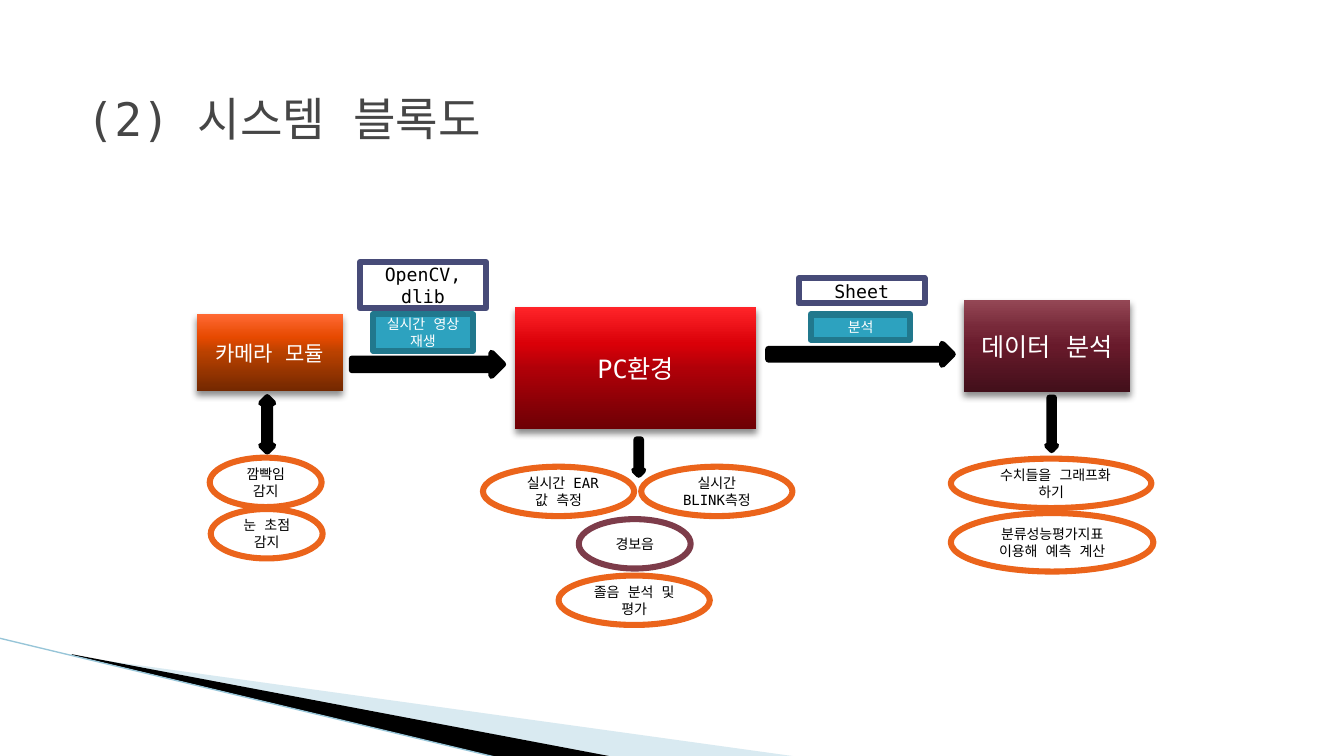
from lxml import etree
from pptx import Presentation
from pptx.dml.color import RGBColor
from pptx.enum.shapes import MSO_CONNECTOR, MSO_SHAPE as Shape
from pptx.enum.text import MSO_ANCHOR, PP_ALIGN
from pptx.oxml.ns import qn
from pptx.util import Inches, Pt

FONT = "DejaVu Sans Mono"
BLACK = RGBColor(0x00, 0x00, 0x00)
WHITE = RGBColor(0xFF, 0xFF, 0xFF)
TITLE_GREY = RGBColor(0x46, 0x46, 0x46)
PALE_BLUE = RGBColor(0xA0, 0xCB, 0xDC)
EDGE_BLUE = RGBColor(0x97, 0xC5, 0xD8)
INDIGO = RGBColor(0x47, 0x4B, 0x78)
TEAL = RGBColor(0x2D, 0xA2, 0xBF)
DARK_TEAL = RGBColor(0x21, 0x78, 0x8D)
ORANGE = RGBColor(0xEB, 0x64, 0x1B)
PLUM = RGBColor(0x7D, 0x3C, 0x4A)
OUTLINE = 4.33

TITLE = "(2) 시스템 블록도"

# text, box (left, top, width, height), text size, gradient from bottom to top
STAGES = [
    ("PC환경", (5.11, 3.05, 2.39, 1.21), 18, ("6D0005", "B00008", "DA0008", "FF2429")),
    ("카메라 모듈", (1.95, 3.12, 1.45, 0.76), 15, ("732800", "B94100", "E64900", "FF6933")),
    ("데이터 분석", (9.56, 2.98, 1.65, 0.91), 18, ("420F1A", "681A2B", "772939", "944755")),
]
GRADIENT_POSITIONS = (0, 50, 70, 100)

TOOLS = [
    ("OpenCV, dlib", (3.57, 2.6, 1.25, 0.46)),
    ("Sheet", (7.92, 2.76, 1.25, 0.25)),
]
ACTIONS = [
    ("실시간 영상 재생", (3.7, 3.12, 0.99, 0.36)),
    ("분석", (8.04, 3.12, 0.99, 0.25)),
]
FUNCTIONS = [
    ("깜빡임 감지", (2.08, 4.54, 1.11, 0.49), ORANGE),
    ("눈 초점 감지", (2.09, 5.05, 1.11, 0.49), ORANGE),
    ("경보음", (5.74, 5.15, 1.11, 0.49), PLUM),
    (" 실시간 EAR값 측정", (4.79, 4.63, 1.5, 0.49), ORANGE),
    ("실시간 BLINK측정", (6.36, 4.63, 1.5, 0.49), ORANGE),
    ("졸음 분석 및 평가", (5.54, 5.71, 1.5, 0.49), ORANGE),
    ("분류성능평가지표 이용해 예측 계산", (9.43, 5.09, 2.01, 0.58), ORANGE),
    (" 수치들을 그래프화 하기", (9.43, 4.55, 1.99, 0.49), ORANGE),
]
# preset, box before rotation, rotation
ARROWS = [
    (Shape.RIGHT_ARROW, (3.49, 3.5, 1.5, 0.23), 0),
    (Shape.RIGHT_ARROW, (7.62, 3.41, 1.83, 0.21), 0),
    (Shape.RIGHT_ARROW, (10.17, 4.16, 0.52, 0.09), 90),
    (Shape.RIGHT_ARROW, (6.16, 4.49, 0.35, 0.09), 90),
    (Shape.UP_DOWN_ARROW, (2.59, 3.94, 0.12, 0.54), 0),
]
# corners, colour, opacity in percent
WEDGES = [
    ([(0.73, 6.51), (7.93, 7.51), (6.08, 7.51), (0.73, 6.5)], PALE_BLUE, 40),
    ([(0.71, 6.49), (6.09, 7.51), (4.96, 7.52), (0.72, 6.5)], BLACK, 100),
]
WEDGE_EDGE = (-0.01, 6.33, 4.95, 7.52)


def add_node(parent, tag, **attributes):
    return etree.SubElement(parent, qn(tag), {k: str(v) for k, v in attributes.items()})


def write(shape, text, size, color, align=PP_ALIGN.CENTER):
    frame = shape.text_frame
    frame.word_wrap = True
    frame.vertical_anchor = MSO_ANCHOR.MIDDLE
    frame.text = text
    paragraph = frame.paragraphs[0]
    paragraph.alignment = align
    font = paragraph.runs[0].font
    font.size, font.name = Pt(size), FONT
    font.color.rgb = color
    for tag in ("a:ea", "a:cs"):
        add_node(paragraph.runs[0].font._element, tag, typeface=FONT)


def add_block(preset, box, fill=None, line=None):
    block = slide.shapes.add_shape(preset, *map(Inches, box))
    block.shadow.inherit = False
    if fill is not None:
        block.fill.solid()
        block.fill.fore_color.rgb = fill
    if line is None:
        block.line.fill.background()
    else:
        block.line.color.rgb = line
        block.line.width = Pt(OUTLINE)
    return block


def shade(block, colors):
    """Give the block its vertical gradient and soft drop shadow."""
    block.fill.gradient()
    block.fill.gradient_angle = 90
    properties = block._element.spPr
    stops = properties.find(qn("a:gradFill")).find(qn("a:gsLst"))
    for stop in list(stops):
        stops.remove(stop)
    for position, color in zip(GRADIENT_POSITIONS, colors):
        stop = add_node(stops, "a:gs", pos=position * 1000)
        add_node(stop, "a:srgbClr", val=color)
    shadow = add_node(properties.find(qn("a:effectLst")), "a:outerShdw",
                      blurRad=Pt(5), dist=Pt(3), dir=90 * 60000, rotWithShape=0)
    add_node(add_node(shadow, "a:srgbClr", val="000000"), "a:alpha", val=45000)


def add_wedge(corners, color, opacity):
    points = [(Inches(x), Inches(y)) for x, y in corners]
    builder = slide.shapes.build_freeform(*points[0])
    builder.add_line_segments(points[1:], close=True)
    wedge = builder.convert_to_shape()
    wedge.shadow.inherit = False
    wedge.line.fill.background()
    wedge.fill.solid()
    wedge.fill.fore_color.rgb = color
    if opacity < 100:
        solid = wedge._element.spPr.find(qn("a:solidFill"))
        add_node(solid[0], "a:alpha", val=opacity * 1000)


prs = Presentation()
prs.slide_width, prs.slide_height = Inches(13.33), Inches(7.5)
slide = prs.slides.add_slide(prs.slide_layouts[6])

for wedge_parts in WEDGES:
    add_wedge(*wedge_parts)
edge = slide.shapes.add_connector(MSO_CONNECTOR.STRAIGHT, *map(Inches, WEDGE_EDGE))
edge.line.color.rgb = EDGE_BLUE
edge.line.width = Pt(0.95)
add_node(edge._element.spPr, "a:effectLst")

title = slide.shapes.add_textbox(*map(Inches, (0.76, 0.42, 11, 1.5)))
write(title, TITLE, 33, TITLE_GREY, PP_ALIGN.LEFT)

for text, box, size, colors in STAGES:
    stage = add_block(Shape.RECTANGLE, box)
    shade(stage, colors)
    write(stage, text, size, WHITE)
for preset, box, rotation in ARROWS:
    add_block(preset, box, BLACK, BLACK).rotation = rotation
for text, box in TOOLS:
    write(add_block(Shape.FLOWCHART_PROCESS, box, WHITE, INDIGO), text, 13, BLACK)
for text, box in ACTIONS:
    write(add_block(Shape.RECTANGLE, box, TEAL, DARK_TEAL), text, 10, WHITE)
for text, box, outline in FUNCTIONS:
    write(add_block(Shape.OVAL, box, WHITE, outline), text, 10, BLACK)

prs.save("out.pptx")
